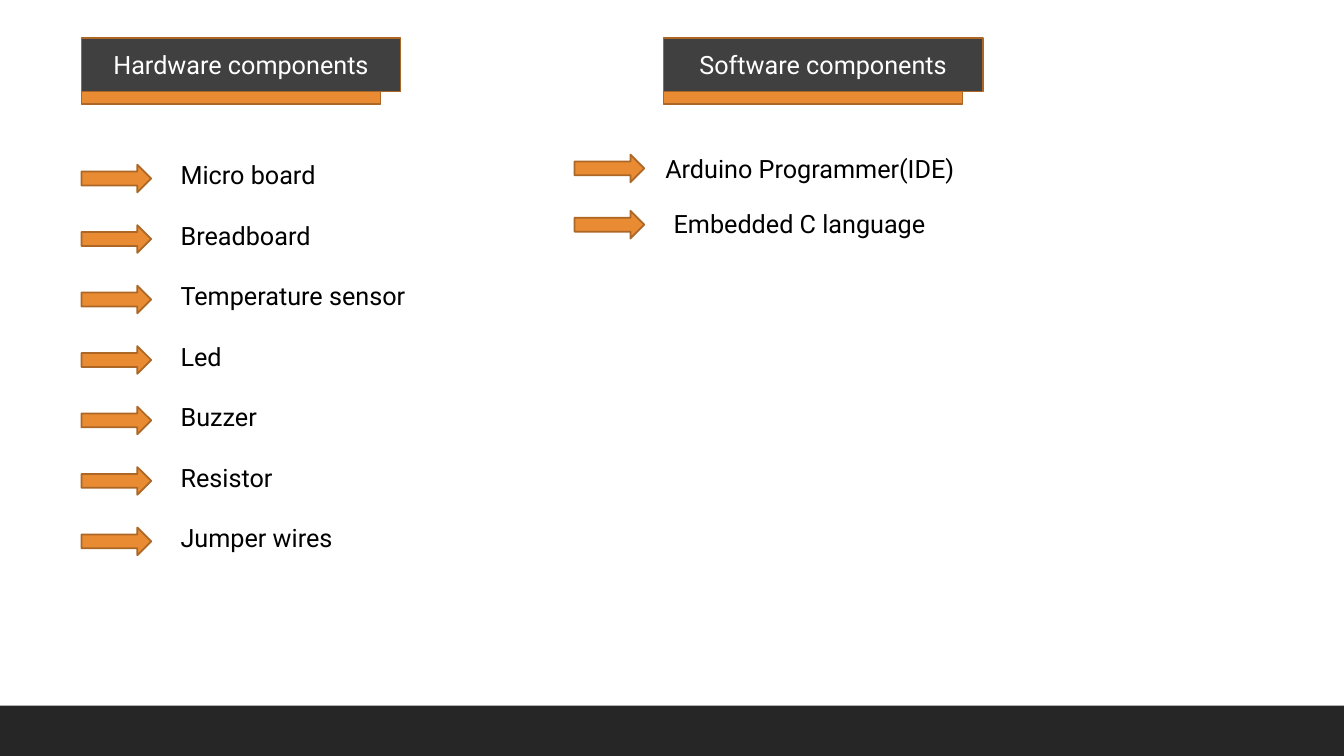
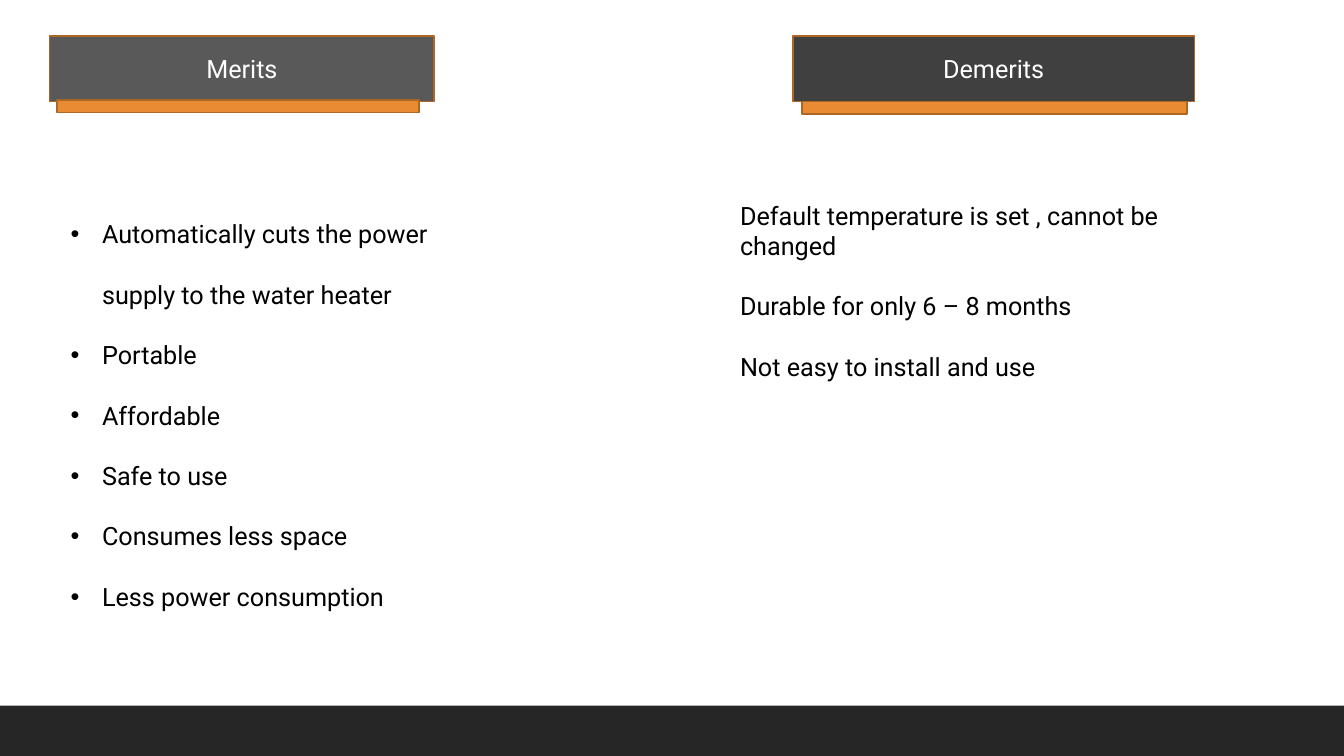
import collections
import pptx
import pptx.dml.color
import pptx.enum.shapes
import pptx.enum.text
import pptx.oxml.ns
import pptx.util
from lxml import etree

Box = collections.namedtuple("Box", "x y w h")
Shape = pptx.enum.shapes.MSO_SHAPE
Align = pptx.enum.text.PP_ALIGN
Anchor = pptx.enum.text.MSO_ANCHOR


class Theme:
    font = "Roboto"
    size = 18
    line = 21.6       # height of one text line, in points
    edge = 1.25
    ink = "000000"
    white = "FFFFFF"
    dark = "404040"
    grey = "595959"
    band = "262626"
    gold = "E88B33"
    rim = "AC6726"


# The grid has 160 square columns by 90 rows; every length is in cells
COLS, ROWS = 160, 90
CELL = pptx.util.Inches(7.5) / ROWS


def grid(count):
    return pptx.util.Emu(round(count * CELL))


def color(code):
    return pptx.dml.color.RGBColor.from_string(code)


def place(shape, box):
    shape.left, shape.top, shape.width, shape.height = map(grid, box)


def paint(shape, fill, rim=None):
    shape.fill.solid()
    shape.fill.fore_color.rgb = color(fill)
    if rim:
        shape.line.color.rgb = color(rim)
        shape.line.width = pptx.util.Pt(Theme.edge)
    else:
        shape.line.fill.background()


def draw(slide, kind, box, fill, rim=Theme.rim):
    shape = slide.shapes.add_shape(kind, *map(grid, box))
    shape.shadow.inherit = False
    paint(shape, fill, rim)
    return shape


def style(part, tint):
    part.font.name = Theme.font
    part.font.size = pptx.util.Pt(Theme.size)
    part.font.bold = False
    part.font.color.rgb = color(tint)


def holder(slide, index):
    return next(s for s in slide.placeholders if s.placeholder_format.idx == index)


def heading(slide, index, box, text, bar, fill=Theme.dark):
    """Dark label with a gold bar below; bar gives its x and y shift and width."""
    label = holder(slide, index)
    place(label, box)
    paint(label, fill, Theme.rim)
    frame = label.text_frame
    frame.text = text
    frame.auto_size = pptx.enum.text.MSO_AUTO_SIZE.NONE
    frame.vertical_anchor = Anchor.MIDDLE
    para = frame.paragraphs[0]
    para.alignment = Align.CENTER
    para.space_before = pptx.util.Pt(0)
    style(para.runs[0], Theme.white)
    shift, drop, width = bar
    under = Box(box.x + shift, box.y + box.h + drop, width, 1.5)
    draw(slide, Shape.RECTANGLE, under, Theme.gold)


def listing(slide, index, box, items, gap=0, lines=1, bullet=False, insets=()):
    """List in a body placeholder; insets move single items to the right."""
    body = holder(slide, index)
    place(body, box)
    frame = body.text_frame
    frame.text = "\n".join(items)
    frame.word_wrap = True
    frame.auto_size = pptx.enum.text.MSO_AUTO_SIZE.NONE
    frame.vertical_anchor = Anchor.TOP
    for row, para in enumerate(frame.paragraphs):
        props = para._p.get_or_add_pPr()
        hang = grid(3.75) if bullet else 0
        inset = grid(insets[row]) if insets else 0
        props.set("marL", str(hang + inset))
        props.set("indent", str(-hang))
        tag = "a:buChar" if bullet else "a:buNone"
        mark = etree.SubElement(props, pptx.oxml.ns.qn(tag))
        if bullet:
            mark.set("char", "•")
        para.alignment = Align.LEFT
        para.line_spacing = float(lines)
        para.space_before = pptx.util.Pt(gap if row else 0)
        para.space_after = pptx.util.Pt(0)
        style(para.runs[0], Theme.ink)


def arrows(slide, first, count, pitch):
    for row in range(count):
        box = first._replace(y=first.y + row * pitch)
        draw(slide, Shape.RIGHT_ARROW, box, Theme.gold)


def footer(deck, slide):
    """Draw the shared band and hand it over to the slide master."""
    band = draw(slide, Shape.RECTANGLE, Box(0, 84, COLS, 6), Theme.band, None)
    deck.slide_master.shapes.element.insert(2, band._element)


def start(deck):
    """Comparison layout: the two headings name the slide, one holder is spare."""
    slide = deck.slides.add_slide(deck.slide_layouts[4])
    spare = holder(slide, 1)._element
    spare.getparent().remove(spare)
    return slide


def parts(deck):
    slide = start(deck)
    bar = (0, 0, 35.6)
    # Hardware column
    items = ["Micro board", "Breadboard", "Temperature sensor", "Led",
             "Buzzer", "Resistor", "Jumper wires"]
    heading(slide, 0, Box(9.7, 4.5, 38, 6.4), "Hardware components", bar)
    arrows(slide, Box(9.7, 19.6, 8.3, 3.3), len(items), 7.2)
    listing(slide, 2, Box(20.3, 18.4, 37.8, 48.5), items, Theme.line)
    # Software column
    items = ["Arduino Programmer(IDE)", "Embedded C language"]
    heading(slide, 3, Box(79, 4.5, 38, 6.4), "Software components", bar)
    arrows(slide, Box(68.4, 18.4, 8.3, 3.3), len(items), 6.7)
    listing(slide, 4, Box(78, 17.6, 58.6, 11.4), items, 18, insets=(0, 1))
    return slide


def merits(deck):
    slide = start(deck)
    # Merits column
    heading(slide, 0, Box(5.9, 4.3, 45.8, 7.8), "Merits",
            (0.9, -0.2, 43.1), Theme.grey)
    listing(slide, 2, Box(7.2, 21.8, 52.8, 55.7), [
        "Automatically cuts the power supply to the water heater",
        "Portable", "Affordable", "Safe to use", "Consumes less space",
        "Less power consumption"], lines=2, bullet=True)
    # Demerits column
    heading(slide, 3, Box(94.4, 4.3, 47.8, 7.8), "Demerits", (1.1, 0, 45.8))
    listing(slide, 4, Box(86.9, 23.2, 63.8, 30.2), [
        "Default temperature is set , cannot be changed",
        "Durable for only 6 – 8 months",
        "Not easy to install and use"], Theme.line)


def main():
    deck = pptx.Presentation()
    deck.slide_width, deck.slide_height = grid(COLS), grid(ROWS)
    footer(deck, parts(deck))
    merits(deck)
    deck.save("out.pptx")


if __name__ == "__main__":
    main()
